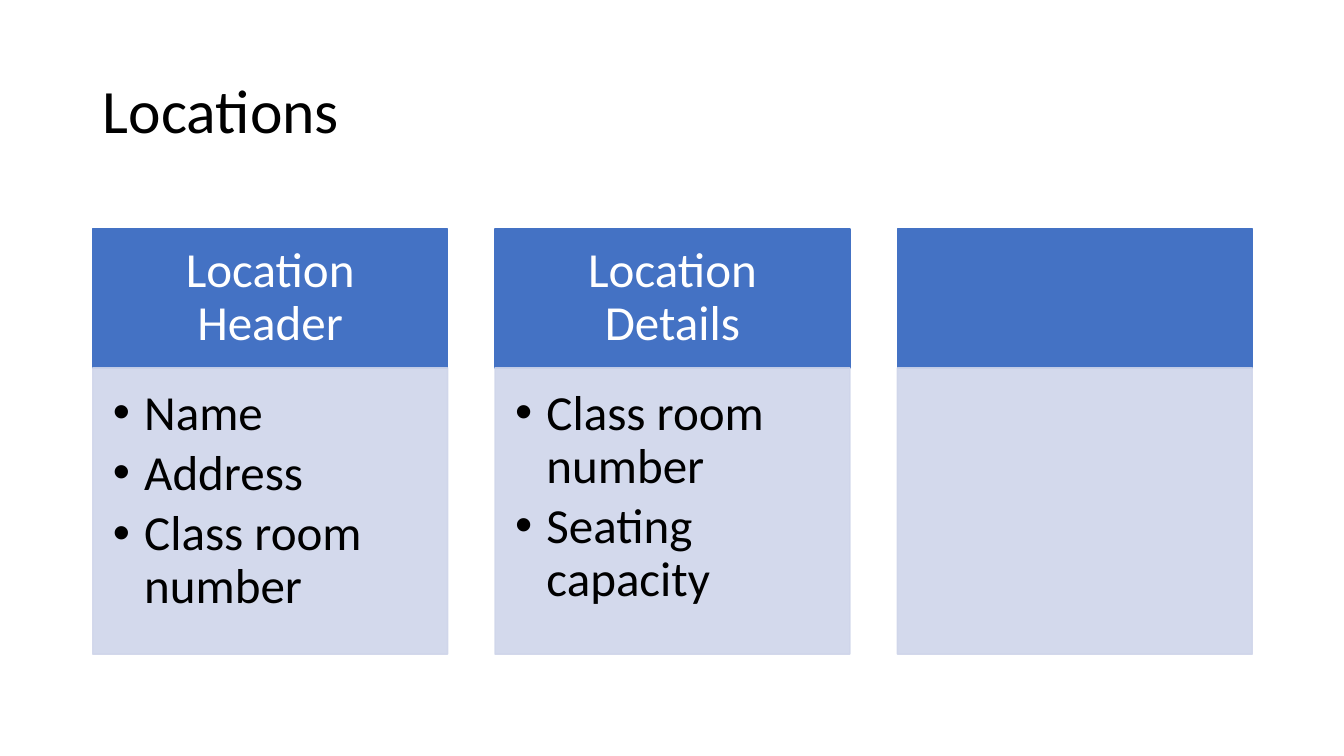
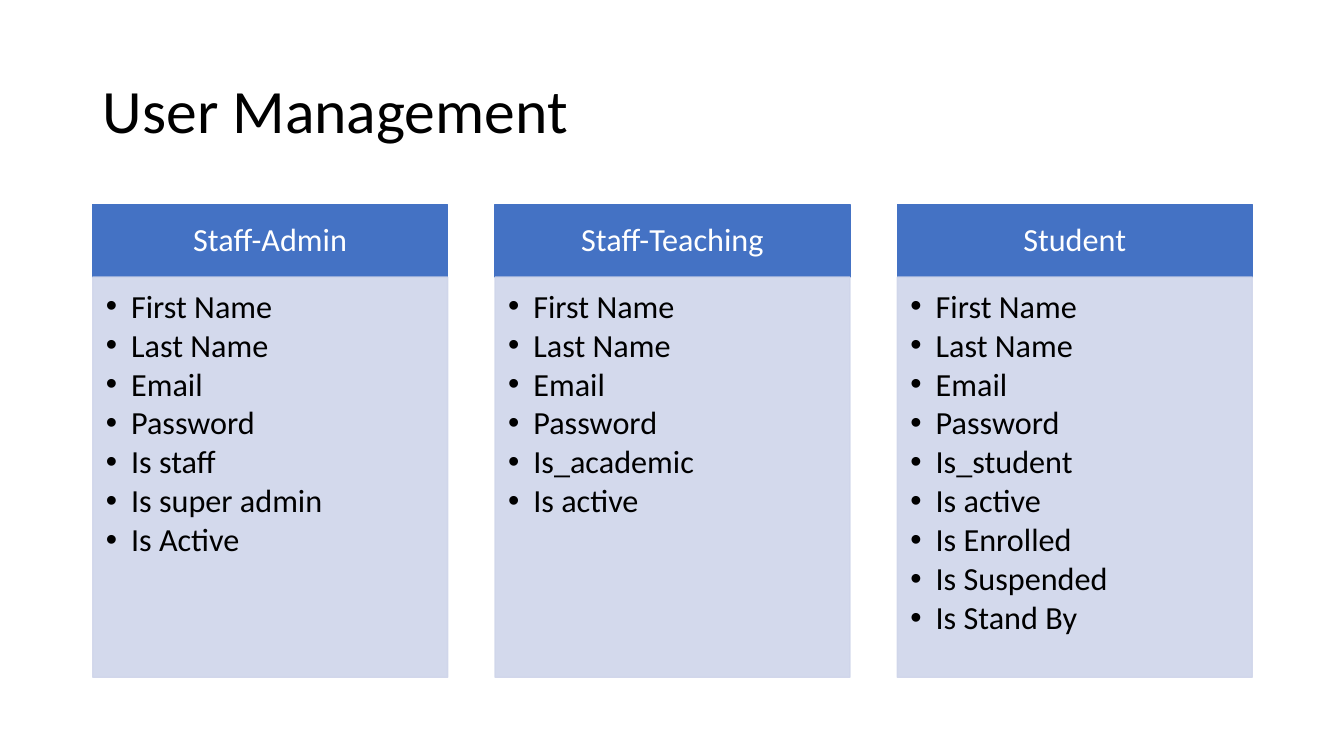
import pptx
import pptx.dml.color
import pptx.enum.shapes
import pptx.enum.text
import pptx.oxml.ns
import pptx.oxml.xmlchemy
import pptx.util
from dataclasses import dataclass

Inches = pptx.util.Inches
Pt = pptx.util.Pt
ANCHOR = pptx.enum.text.MSO_ANCHOR
ALIGN = pptx.enum.text.PP_ALIGN

COLOURS = {"text": "000000", "heading": "4472C4", "heading_text": "FFFFFF", "panel": "CFD5EA"}
FONT = "Calibri"
TITLE_ONLY = 5
LEFT, COLUMN_WIDTH, COLUMN_STEP = 0.92, 3.52, 3.99


@dataclass
class CardStyle:
    """Measures of one row of cards: lengths in inches, text sizes in points."""
    top: float
    heading_height: float
    panel_height: float
    size: float
    gap: float
    indent: float
    heading_insets: tuple
    panel_insets: tuple


LARGE = CardStyle(2.27, 1.38, 2.84, 35, 5.25, 0.31,
                  (0.27, 0.16, 0.27, 0.16), (0.2, 0.2, 0.27, 0.31))
SMALL = CardStyle(2.03, 0.72, 3.97, 23, 3, 0.25,
                  (0.18, 0.1, 0.18, 0.1), (0.13, 0.13, 0.18, 0.2))


class SlideBuilder:
    def __init__(self):
        self.deck = pptx.Presentation()
        self.deck.slide_width = Inches(13.33)
        self.deck.slide_height = Inches(7.5)
        self.page = None

    def colour(self, name):
        return pptx.dml.color.RGBColor.from_string(COLOURS[name])

    def format_paragraph(self, para, size, colour, align):
        para.font.name = FONT
        para.font.size = Pt(size)
        para.font.color.rgb = self.colour(colour)
        para.line_spacing = 0.9
        para.alignment = align

    def start_page(self, title):
        self.page = self.deck.slides.add_slide(self.deck.slide_layouts[TITLE_ONLY])
        box = self.page.shapes.title
        box.left, box.top = Inches(LEFT), Inches(0.4)
        box.width, box.height = Inches(11.5), Inches(1.45)
        box.text_frame.text = title
        box.text_frame.vertical_anchor = ANCHOR.MIDDLE
        self.format_paragraph(box.text_frame.paragraphs[0], 44, "text", ALIGN.LEFT)

    def rectangle(self, left, top, height, colour, insets, anchor):
        box = self.page.shapes.add_shape(
            pptx.enum.shapes.MSO_SHAPE.RECTANGLE,
            Inches(left), Inches(top), Inches(COLUMN_WIDTH), Inches(height))
        box.shadow.inherit = False
        box.fill.solid()
        box.fill.fore_color.rgb = self.colour(colour)
        box.line.color.rgb = self.colour(colour)
        box.line.width = Pt(1)
        frame = box.text_frame
        frame.word_wrap = True
        frame.vertical_anchor = anchor
        (frame.margin_left, frame.margin_top,
         frame.margin_right, frame.margin_bottom) = map(Inches, insets)
        return box

    def make_translucent(self, box, percent):
        for colour in box.element.spPr.iter(pptx.oxml.ns.qn("a:srgbClr")):
            alpha = pptx.oxml.xmlchemy.OxmlElement("a:alpha")
            alpha.set("val", str(percent * 1000))
            colour.append(alpha)

    def add_bullet(self, para, indent):
        properties = para._p.get_or_add_pPr()
        properties.set("marL", str(Inches(indent)))
        properties.set("indent", str(-Inches(indent)))
        for tag, key, value in (("a:buFont", "typeface", "Arial"), ("a:buChar", "char", "•")):
            bullet = pptx.oxml.xmlchemy.OxmlElement(tag)
            bullet.set(key, value)
            properties.insert_element_before(bullet, "a:tabLst", "a:defRPr", "a:extLst")

    def heading(self, left, text, style):
        box = self.rectangle(left, style.top, style.heading_height, "heading",
                             style.heading_insets, ANCHOR.MIDDLE)
        if text:
            box.text_frame.text = text
            self.format_paragraph(box.text_frame.paragraphs[0], style.size,
                                  "heading_text", ALIGN.CENTER)

    def panel(self, left, items, style):
        box = self.rectangle(left, style.top + style.heading_height, style.panel_height,
                             "panel", style.panel_insets, ANCHOR.TOP)
        self.make_translucent(box, 90)
        if items:
            box.text_frame.text = "\n".join(items)
            for para in box.text_frame.paragraphs:
                self.format_paragraph(para, style.size, "text", ALIGN.LEFT)
                para.space_after = Pt(style.gap)
                self.add_bullet(para, style.indent)

    def cards(self, columns, style):
        for number, (title, items) in enumerate(columns):
            left = LEFT + number * COLUMN_STEP
            self.heading(left, title, style)
            self.panel(left, items, style)


def main():
    builder = SlideBuilder()

    builder.start_page("Locations")
    builder.cards([
        ("Location Header", ["Name", "Address", "Class room number"]),
        ("Location Details", ["Class room number", "Seating capacity"]),
        ("", []),
    ], LARGE)

    account = ["First Name", "Last Name", "Email", "Password"]
    builder.start_page("User Management")
    builder.cards([
        ("Staff-Admin", account + ["Is staff", "Is super admin", "Is Active"]),
        ("Staff-Teaching", account + ["Is_academic", "Is active"]),
        ("Student", account + ["Is_student", "Is active", "Is Enrolled",
                               "Is Suspended", "Is Stand By"]),
    ], SMALL)

    builder.deck.save("out.pptx")


if __name__ == "__main__":
    main()
